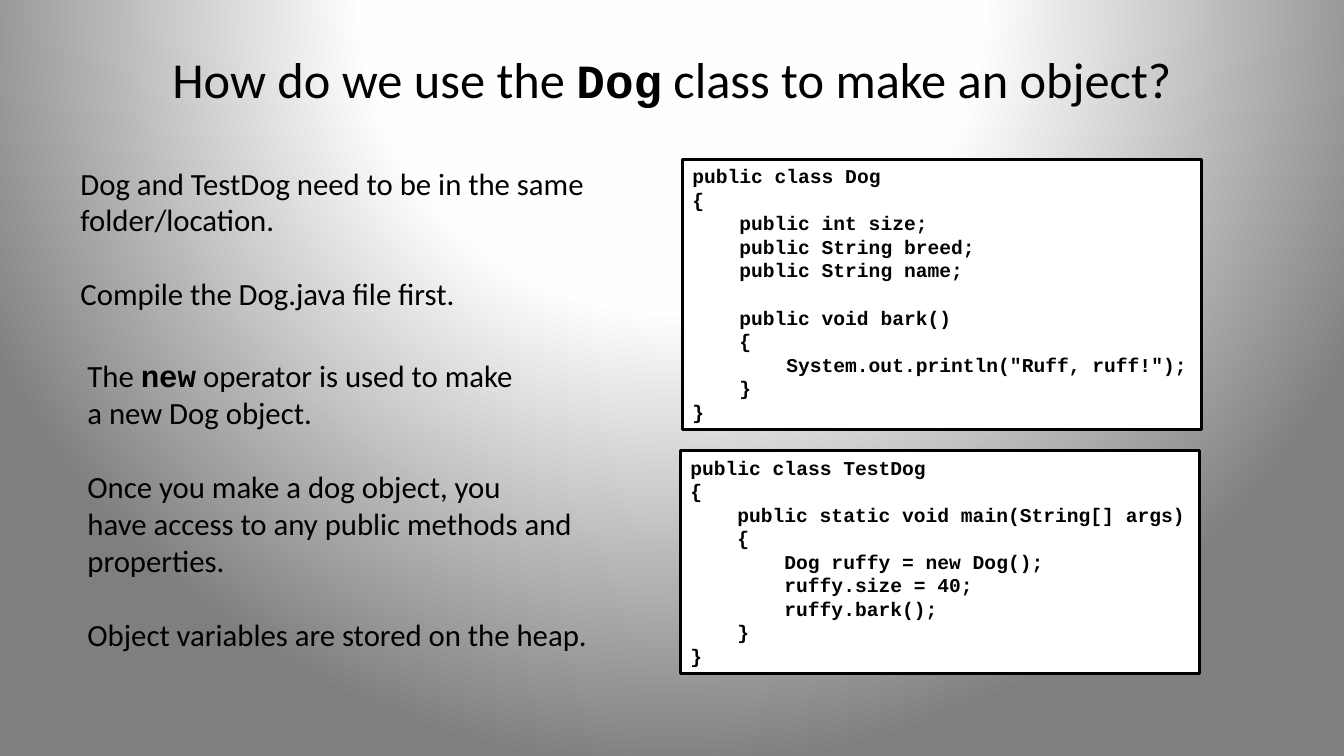
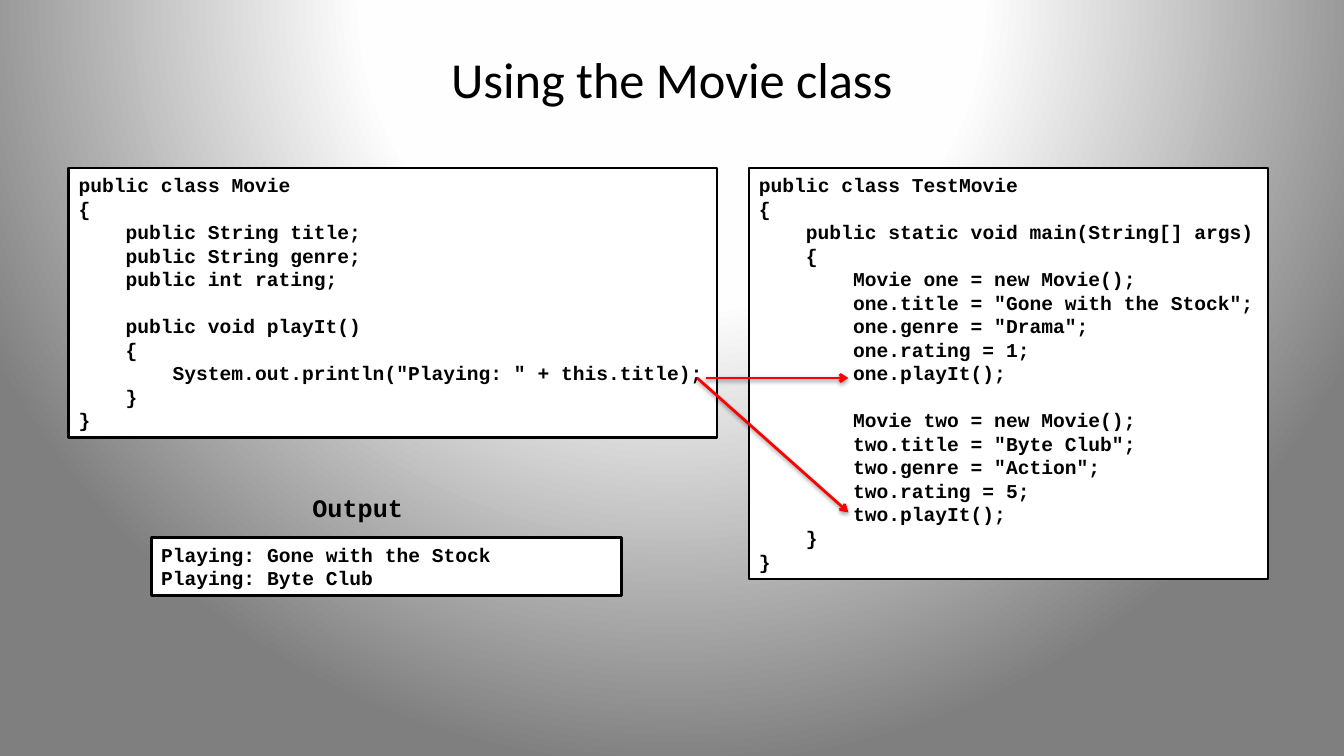
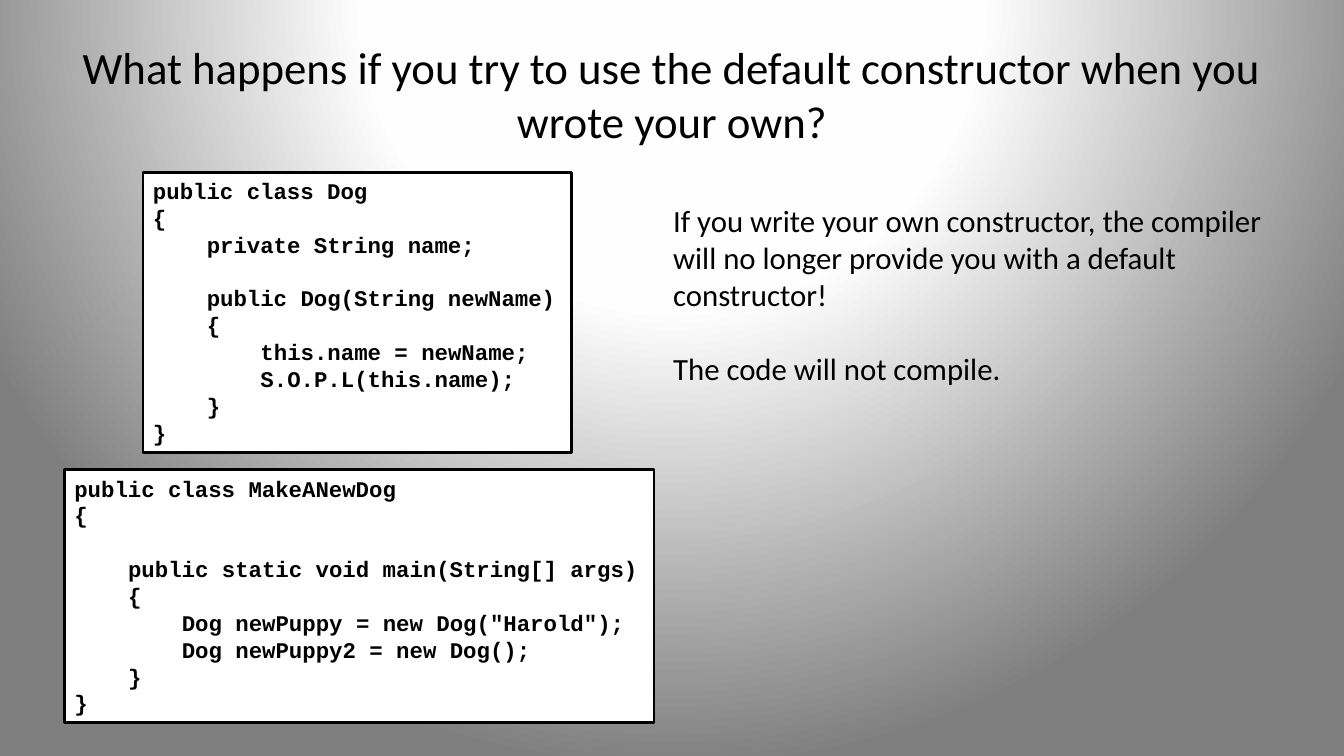
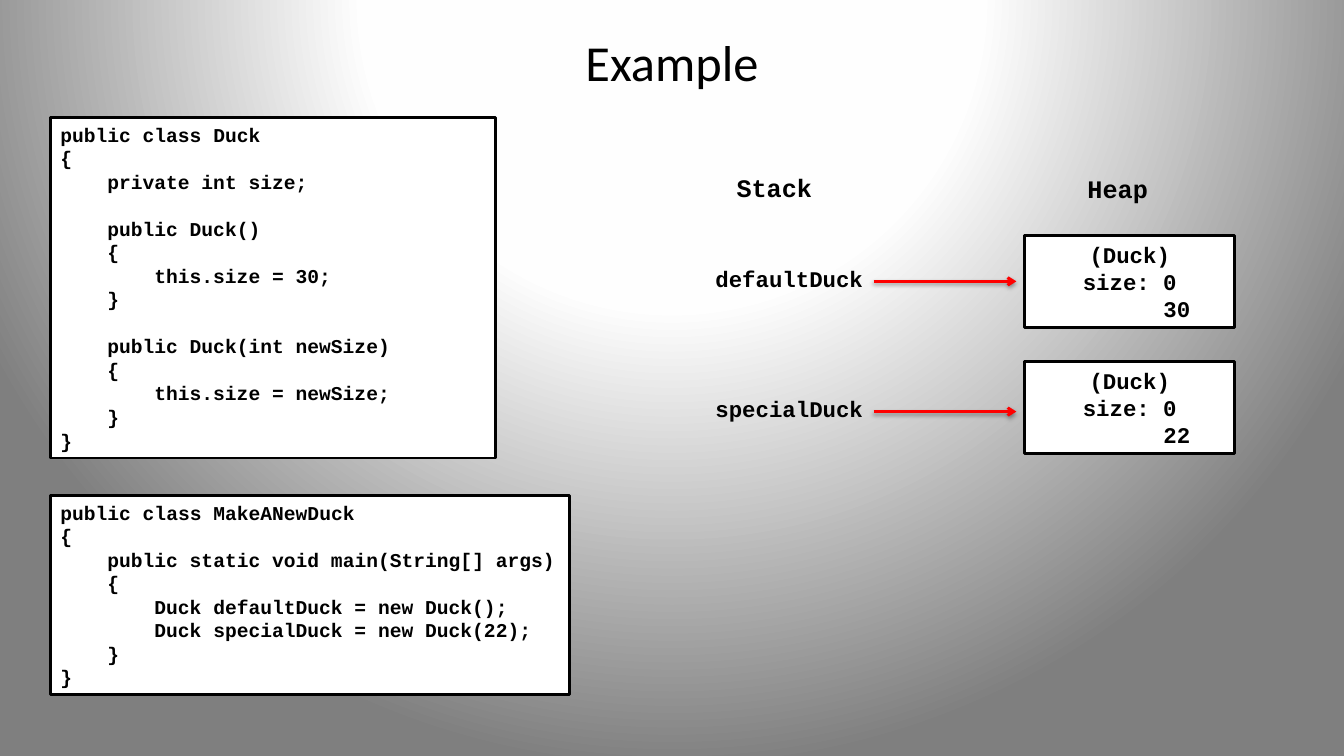
import pptx
import pptx.dml.color
import pptx.enum.shapes
import pptx.enum.text
import pptx.oxml
import pptx.oxml.ns
import pptx.util

Pt = pptx.util.Pt
ALIGN = pptx.enum.text.PP_ALIGN
ANCHOR = pptx.enum.text.MSO_ANCHOR

PROSE_FONT = "Calibri"
CODE_FONT = "Courier New"
BLACK = "000000"
WHITE = "FFFFFF"
RED = "FF0000"
BACKDROP_STOPS = [(0, WHITE), (40, "FEFEFE"), (100, "7F7F7F")]
LINE_PITCH = 1.2
CHAR_PITCH = 0.6
PROSE_SIZE = 22

DOG = """public class Dog
{
    public int size;
    public String breed;
    public String name;

    public void bark()
    {
        System.out.println("Ruff, ruff!");
    }
}"""

TEST_DOG = """public class TestDog
{
    public static void main(String[] args)
    {
        Dog ruffy = new Dog();
        ruffy.size = 40;
        ruffy.bark();
    }
}"""

MOVIE = """public class Movie
{
    public String title;
    public String genre;
    public int rating;

    public void playIt()
    {
        System.out.println("Playing: " + this.title);
    }
}"""

TEST_MOVIE = """public class TestMovie
{
    public static void main(String[] args)
    {
        Movie one = new Movie();
        one.title = "Gone with the Stock";
        one.genre = "Drama";
        one.rating = 1;
        one.playIt();

        Movie two = new Movie();
        two.title = "Byte Club";
        two.genre = "Action";
        two.rating = 5;
        two.playIt();
    }
}"""

MOVIE_OUTPUT = """Playing: Gone with the Stock
Playing: Byte Club"""

NAMED_DOG = """public class Dog
{
    private String name;

    public Dog(String newName)
    {
        this.name = newName;
        S.O.P.L(this.name);
    }
}"""

MAKE_DOG = """public class MakeANewDog
{

    public static void main(String[] args)
    {
        Dog newPuppy = new Dog("Harold");
        Dog newPuppy2 = new Dog();
    }
}"""

DUCK = """public class Duck
{
    private int size;

    public Duck()
    {
        this.size = 30;
    }

    public Duck(int newSize)
    {
        this.size = newSize;
    }
}"""

MAKE_DUCK = """public class MakeANewDuck
{
    public static void main(String[] args)
    {
        Duck defaultDuck = new Duck();
        Duck specialDuck = new Duck(22);
    }
}"""


def rgb(value):
    return pptx.dml.color.RGBColor.from_string(value)


def drawing_xml(tag, attributes, inner=""):
    namespace = pptx.oxml.ns.nsdecls("a")
    return pptx.oxml.parse_xml(f"<a:{tag} {namespace} {attributes}>{inner}</a:{tag}>")


def set_backdrop(master):
    master.background.fill.gradient()
    gradient = master.element.find(".//" + pptx.oxml.ns.qn("a:gradFill"))
    for part in list(gradient):
        gradient.remove(part)
    stops = "".join(
        f'<a:gs pos="{place * 1000}"><a:srgbClr val="{color}"/></a:gs>'
        for place, color in BACKDROP_STOPS
    )
    focus = '<a:fillToRect l="50000" t="-80000" r="50000" b="180000"/>'
    gradient.append(drawing_xml("gsLst", "", stops))
    gradient.append(drawing_xml("path", 'path="circle"', focus))


def add_run(paragraph, text, size, font=PROSE_FONT, bold=False):
    for number, line in enumerate(text.split("\n")):
        if number:
            paragraph.add_line_break()
        run = paragraph.add_run()
        run.text = line
        run.font.name = font
        run.font.size = Pt(size)
        run.font.bold = bold
        run.font.color.rgb = rgb(BLACK)


def next_paragraph(frame, first):
    return frame.paragraphs[0] if first else frame.add_paragraph()


def write_code(frame, code, size, align=ALIGN.LEFT):
    frame.word_wrap = True
    gap = 0
    for number, line in enumerate(code.split("\n")):
        if not line:
            gap += LINE_PITCH * size
            continue
        paragraph = next_paragraph(frame, number == 0)
        paragraph.alignment = align
        statement = line.lstrip()
        depth = len(line) - len(statement)
        if depth:
            properties = paragraph._p.get_or_add_pPr()
            properties.set("marL", str(Pt(depth * CHAR_PITCH * size)))
            properties.set("indent", "0")
        if gap:
            paragraph.space_before = Pt(gap)
            gap = 0
        add_run(paragraph, statement, size, CODE_FONT, True)


def add_textbox(slide, left, top, width, height):
    frame = slide.shapes.add_textbox(Pt(left), Pt(top), Pt(width), Pt(height)).text_frame
    frame.word_wrap = True
    return frame


def add_title(slide, runs, top=21.6, height=68.4):
    frame = add_textbox(slide, 48, top, 864, height)
    frame.vertical_anchor = ANCHOR.MIDDLE
    frame.paragraphs[0].alignment = ALIGN.CENTER
    for run in runs:
        add_run(frame.paragraphs[0], *run)


def add_prose(slide, left, top, width, height, paragraphs):
    frame = add_textbox(slide, left, top, width, height)
    for number, runs in enumerate(paragraphs):
        paragraph = next_paragraph(frame, number == 0)
        if number:
            paragraph.space_before = Pt(LINE_PITCH * PROSE_SIZE)
        for text, *style in runs:
            add_run(paragraph, text, PROSE_SIZE, *style)


def add_panel(slide, left, top, width, height, anchor):
    panel = slide.shapes.add_shape(
        pptx.enum.shapes.MSO_SHAPE.RECTANGLE, Pt(left), Pt(top), Pt(width), Pt(height)
    )
    panel.shadow.inherit = False
    panel.fill.solid()
    panel.fill.fore_color.rgb = rgb(WHITE)
    panel.line.color.rgb = rgb(BLACK)
    panel.line.width = Pt(2)
    panel.text_frame.vertical_anchor = anchor
    return panel.text_frame


def add_code(slide, left, top, code, size=14, width=None):
    lines = code.split("\n")
    width = width or max(map(len, lines)) * CHAR_PITCH * size + 18
    height = len(lines) * LINE_PITCH * size + 8
    frame = add_panel(slide, left, top, width, height, ANCHOR.TOP)
    write_code(frame, code, size)


def add_label(slide, left, top, text, size=18):
    width = len(text) * CHAR_PITCH * size + 16
    write_code(add_textbox(slide, left, top, width, LINE_PITCH * size + 7.2), text, size)


def add_heap_object(slide, top, size_value):
    frame = add_panel(slide, 732, top, 150, 66, ANCHOR.MIDDLE)
    indent = " " * 7
    write_code(frame, f"(Duck)\nsize: 0\n{indent}{size_value}", 16, ALIGN.CENTER)


def add_arrow(slide, start, end):
    arrow = slide.shapes.add_connector(
        pptx.enum.shapes.MSO_CONNECTOR.STRAIGHT, *map(Pt, start + end)
    )
    arrow.line.color.rgb = rgb(RED)
    arrow.line.width = Pt(2)
    arrow.line._get_or_add_ln().append(drawing_xml("tailEnd", 'type="arrow"'))
    shadow = (
        f'<a:outerShdw blurRad="{Pt(3.1)}" dist="{Pt(1.6)}" dir="5400000" rotWithShape="0">'
        f'<a:srgbClr val="{BLACK}"><a:alpha val="38000"/></a:srgbClr></a:outerShdw>'
    )
    arrow._element.spPr.append(drawing_xml("effectLst", "", shadow))


def build_dog_slide(slide):
    add_title(slide, [
        ("How do we use the ", 36),
        ("Dog", 34, CODE_FONT, True),
        (" class to make an object?", 36),
    ])
    add_code(slide, 487.4, 113.8, DOG)
    add_code(slide, 486, 321.8, TEST_DOG)
    add_prose(slide, 50.4, 113.8, 381, 114, [
        [("Dog and TestDog need to be in the same\nfolder/location.",)],
        [("Compile the Dog.java file first.",)],
    ])
    add_prose(slide, 55.4, 251.3, 376.6, 220, [
        [
            ("The ",),
            ("new", CODE_FONT, True),
            (" operator is used to make\na new Dog object.",),
        ],
        [("Once you make a dog object, you\nhave access to any public methods and\nproperties.",)],
        [("Object variables are stored on the heap.",)],
    ])


def build_movie_slide(slide):
    add_title(slide, [("Using the Movie class", 36)])
    add_code(slide, 535, 120, TEST_MOVIE)
    add_code(slide, 49, 120, MOVIE)
    add_label(slide, 216, 347.8, "Output")
    add_arrow(slide, (504, 270), (606, 270))
    add_arrow(slide, (498, 270), (606, 366))
    add_code(slide, 108, 384, MOVIE_OUTPUT, width=336)


def build_constructor_slide(slide):
    question = "What happens if you try to use the default constructor when you wrote your own?"
    add_title(slide, [(question, 32)], height=90)
    add_code(slide, 102.2, 123, NAMED_DOG, 16)
    add_code(slide, 46, 335.5, MAKE_DOG, 16)
    add_prose(slide, 473.8, 140.4, 443.5, 140.4, [
        [(
            "If you write your own constructor, the compiler\n"
            "will no longer provide you with a default\nconstructor!",
        )],
        [("The code will not compile.",)],
    ])


def build_duck_slide(slide):
    add_title(slide, [("Example", 36)], top=12, height=63)
    add_code(slide, 36, 84, DUCK, width=318)
    add_code(slide, 36, 354, MAKE_DUCK)
    add_label(slide, 519, 119.5, "Stack")
    add_label(slide, 769.7, 120.2, "Heap")
    ducks = [("defaultDuck", 30, 168, 201), ("specialDuck", 22, 258, 294)]
    for variable, size_value, heap_top, arrow_y in ducks:
        add_heap_object(slide, heap_top, size_value)
        add_arrow(slide, (624, arrow_y), (726, arrow_y))
        add_label(slide, 504, arrow_y - 15, variable, 16)


def main():
    deck = pptx.Presentation()
    deck.slide_width = Pt(960)
    deck.slide_height = Pt(540)
    set_backdrop(deck.slide_master)
    for build in (
        build_dog_slide,
        build_movie_slide,
        build_constructor_slide,
        build_duck_slide,
    ):
        build(deck.slides.add_slide(deck.slide_layouts[6]))
    deck.save("out.pptx")


if __name__ == "__main__":
    main()
